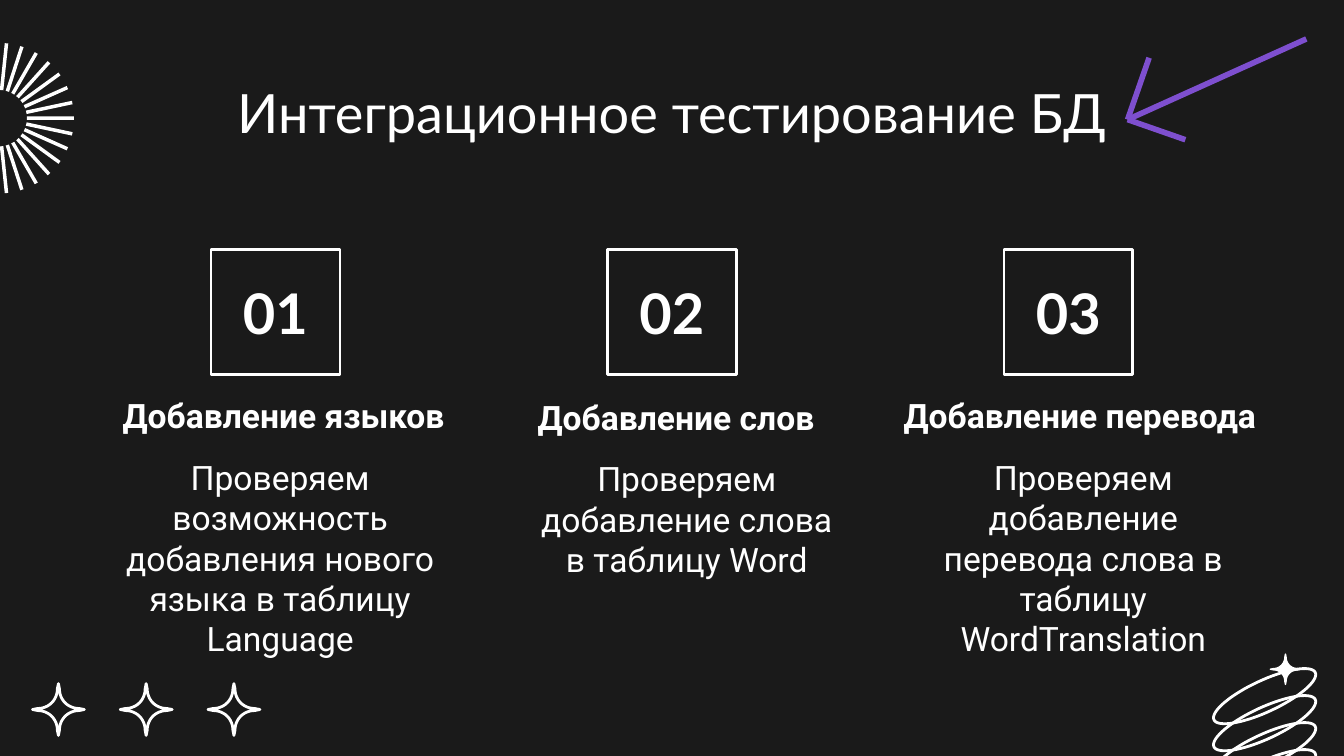
import math

import pptx
import pptx.dml.color
import pptx.enum.shapes
import pptx.enum.text
import pptx.util
from lxml import etree

COLORS = {"background": "1A1A1A", "light": "FFFFFF", "accent": "7E4FCF"}
COLUMNS, ROWS = 100, 56.25
DRAWING = "http://schemas.openxmlformats.org/drawingml/2006/main"
ANCHOR = pptx.enum.text.MSO_ANCHOR


def rgb(name):
    return pptx.dml.color.RGBColor.from_string(COLORS[name])


class Deck:
    heading_font = "Lato"
    body_font = "Roboto"

    def __init__(self, width, height):
        self.presentation = pptx.Presentation()
        self.presentation.slide_width = pptx.util.Inches(width)
        self.presentation.slide_height = pptx.util.Inches(height)
        self.slide = self.presentation.slides.add_slide(self.presentation.slide_layouts[6])
        self.slide.background.fill.solid()
        self.slide.background.fill.fore_color.rgb = rgb("background")

    def x(self, columns):
        return round(self.presentation.slide_width * columns / COLUMNS)

    def y(self, rows):
        return round(self.presentation.slide_height * rows / ROWS)

    def area(self, left, top, width, height):
        return self.x(left), self.y(top), self.x(width), self.y(height)

    def paint(self, shape, fill=None, weight=None):
        shape.shadow.inherit = False
        if fill:
            shape.fill.solid()
            shape.fill.fore_color.rgb = rgb(fill)
        else:
            shape.fill.background()
        if weight:
            shape.line.color.rgb = rgb("light")
            shape.line.width = pptx.util.Pt(weight)
        else:
            shape.line.fill.background()

    def add_words(self, shape, text, size, font, bold, anchor, hanging=False, after=0):
        frame = shape.text_frame
        frame.word_wrap = True
        frame.vertical_anchor = anchor
        frame.margin_left = frame.margin_right = self.x(1)
        frame.margin_top = frame.margin_bottom = self.y(1)
        paragraph = frame.paragraphs[0]
        paragraph.alignment = pptx.enum.text.PP_ALIGN.CENTER
        paragraph.space_after = pptx.util.Pt(after)
        if hanging:
            properties = paragraph._p.get_or_add_pPr()
            properties.set("marL", str(self.x(5)))
            properties.set("indent", str(-self.x(3.5)))
        run = paragraph.add_run()
        run.text = text
        run.font.size = pptx.util.Pt(size)
        run.font.name = font
        run.font.bold = bold
        run.font.color.rgb = rgb("light")

    def text(self, area, text, size=18, font=body_font, bold=False, anchor=ANCHOR.TOP, **spacing):
        box = self.slide.shapes.add_textbox(*self.area(*area))
        self.add_words(box, text, size, font, bold, anchor, **spacing)

    def number_box(self, area, text):
        kind = pptx.enum.shapes.MSO_SHAPE.RECTANGLE
        box = self.slide.shapes.add_shape(kind, *self.area(*area))
        self.paint(box, weight=1.5)
        self.add_words(box, text, 30, self.heading_font, True, ANCHOR.MIDDLE)

    def outline(self, contours, **style):
        contours = [[(self.x(x), self.y(y)) for x, y in contour] for contour in contours]
        builder = self.slide.shapes.build_freeform(*contours[0][0])
        for index, contour in enumerate(contours):
            if index:
                builder.move_to(*contour[0])
            builder.add_line_segments(contour[1:], close=True)
        self.paint(builder.convert_to_shape(), **style)

    def line(self, start, end, color, weight):
        connector = self.slide.shapes.add_connector(
            pptx.enum.shapes.MSO_CONNECTOR.STRAIGHT,
            self.x(start[0]), self.y(start[1]), self.x(end[0]), self.y(end[1]))
        connector.line.color.rgb = rgb(color)
        connector.line.width = pptx.util.Pt(weight)
        etree.SubElement(connector._element.spPr, f"{{{DRAWING}}}effectLst")


def place(points, center_x, center_y, degrees):
    angle = math.radians(degrees)
    return [(center_x + x * math.cos(angle) - y * math.sin(angle),
             center_y + x * math.sin(angle) + y * math.cos(angle)) for x, y in points]


def bezier(t, start, first, second, end):
    return (1 - t) ** 3 * start + 3 * (1 - t) ** 2 * t * first + 3 * (1 - t) * t ** 2 * second + t ** 3 * end


def star(center_x, center_y, radius, steps=12):
    bend = (0.04, 0.04, 0.37, 0.8)
    curve = [(radius * bezier(step / steps, *bend), -radius * bezier(1 - step / steps, *bend))
             for step in range(steps + 1)]
    corner = [(0, -radius)] + curve
    return [point for turn in range(4) for point in place(corner, center_x, center_y, 90 * turn)]


def ring(center_x, center_y, major, minor, tilt, steps=72):
    angles = [2 * math.pi * step / steps for step in range(steps)]
    points = [(major * math.cos(angle), minor * math.sin(angle)) for angle in angles]
    return place(points, center_x, center_y, tilt)


def ray(center_x, center_y, inner, outer, half_width, degrees):
    corners = [(inner, -half_width), (outer, -half_width), (outer, half_width), (inner, half_width)]
    return place(corners, center_x, center_y, degrees)


def main():
    deck = Deck(10, 5.625)
    deck.outline([star(4.35 + 6.53 * index, 52.8, 1.93) for index in range(3)], weight=1.5)
    deck.outline([ring(94.1, 51.8 + 2.01 * index, 4.16, 1.17, -25) for index in range(5)], weight=1.5)
    deck.outline([star(95.65, 49.8, 1.13)], fill="light", weight=0.75)
    deck.outline([ray(-0.1, 8.8, 2.1, 5.6, 0.13, 12 * index) for index in range(30)], fill="light")

    deck.text((7.9, 4.9, 84.2, 6.3), "Интеграционное тестирование БД", size=29, font=deck.heading_font)

    cards = [
        ("Добавление языков", (2.9, 25.2, 34.9, 8.2),
         "Проверяем возможность добавления нового языка в таблицу Language", (5.5, 33, 30.7, 6.8)),
        ("Добавление слов", (33.3, 25.3, 32.5, 8.2),
         "Проверяем добавление слова в таблицу Word", (38.5, 33.1, 25.2, 6.8)),
        ("Добавление перевода", (61.2, 25.2, 36.8, 8.2),
         "Проверяем добавление перевода слова в таблицу WordTranslation", (68, 33, 25.2, 6.8)),
    ]
    for index, (heading, heading_area, body, body_area) in enumerate(cards):
        deck.number_box((15.7 + 29.5 * index, 18.6, 9.6, 9.3), f"{index + 1:02}")
        deck.text(heading_area, heading, bold=True, anchor=ANCHOR.BOTTOM, hanging=True, after=8)
        deck.text(body_area, body, after=8)

    for end in [(97.2, 2.9), (88.2, 10.4), (85.5, 4.3)]:
        deck.line((83.9, 8.9), end, "accent", 3)

    deck.presentation.save("out.pptx")


if __name__ == "__main__":
    main()
